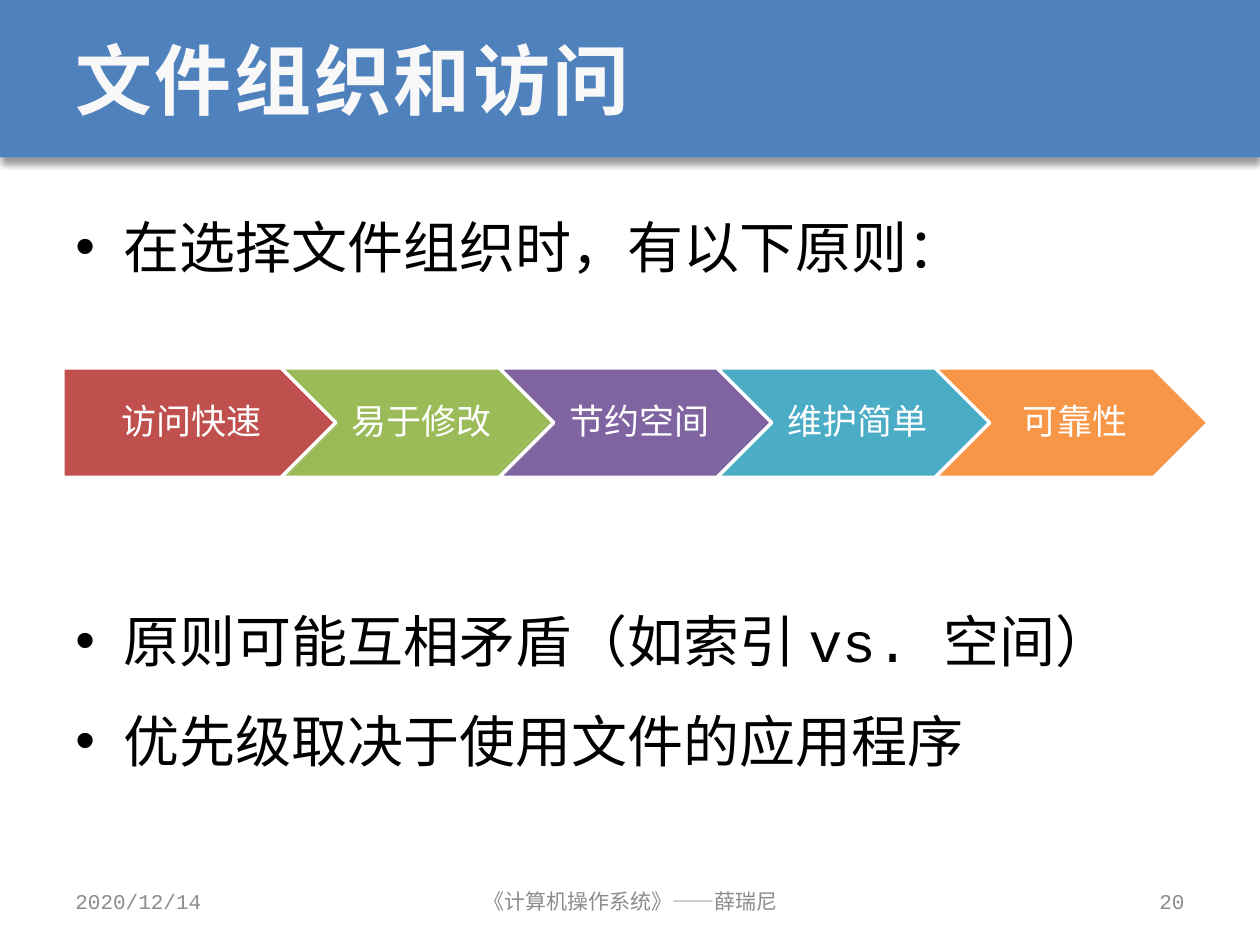
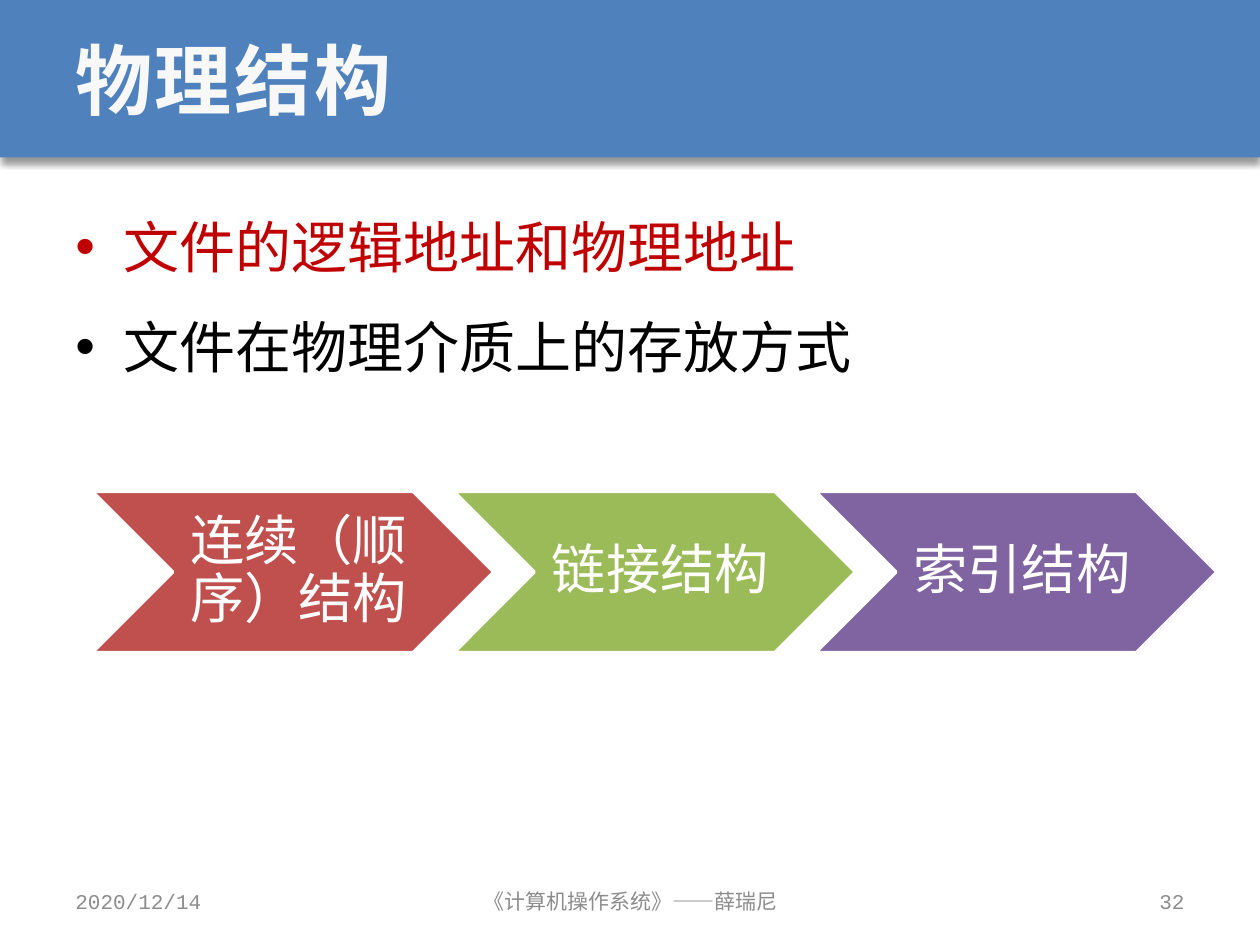
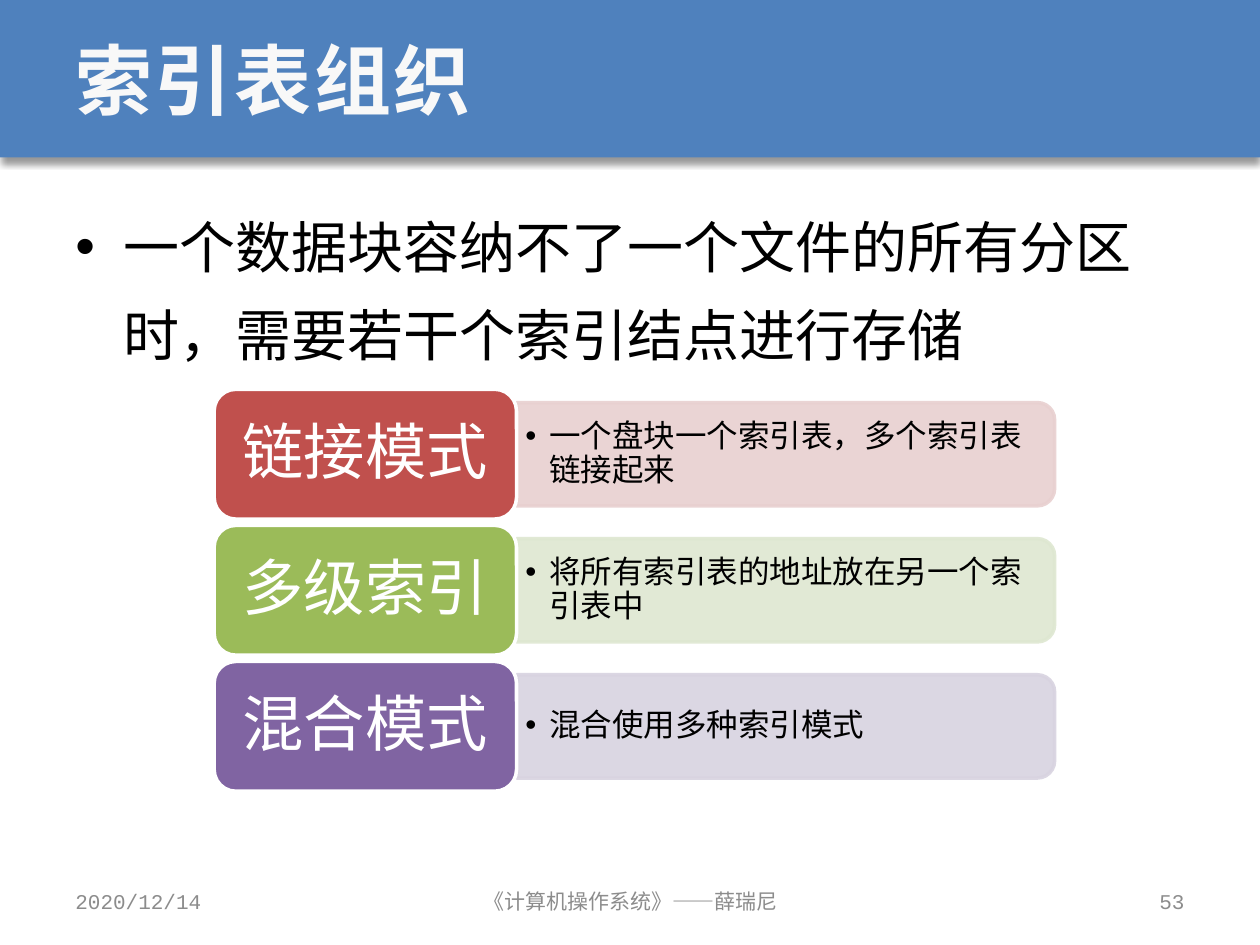
import dataclasses
import typing

import pptx
import pptx.dml.color
import pptx.enum.lang
import pptx.enum.shapes
import pptx.enum.text
import pptx.oxml.ns
import pptx.util
from lxml import etree

Inches = pptx.util.Inches
Pt = pptx.util.Pt
Form = pptx.enum.shapes.MSO_SHAPE
Align = pptx.enum.text.PP_ALIGN
Anchor = pptx.enum.text.MSO_ANCHOR
qn = pptx.oxml.ns.qn

BLUE, RED, GREEN, PURPLE, TEAL, ORANGE = (
    "4F81BD", "C0504D", "9BBB59", "8064A2", "4BACC6", "F79646")
WHITE, BLACK, PALE, GREY, ALERT = "FFFFFF", "000000", "F8F8F8", "8C8C8C", "C00000"
HUES = [RED, GREEN, PURPLE, TEAL, ORANGE]
MONO, SANS = "Courier New", "Arial"


@dataclasses.dataclass
class Box:
    left: float
    top: float
    width: float
    height: float

    def span(self) -> list[int]:
        return [Inches(n) for n in (self.left, self.top, self.width, self.height)]


@dataclasses.dataclass
class Point:
    text: str
    color: str = BLACK
    before: float = 7


@dataclasses.dataclass
class Chain:
    words: list[str]
    first: Box
    step: float
    size: float
    pad: tuple[float, ...]
    flat: bool = False


@dataclasses.dataclass
class Row:
    name: str
    note: str
    hue: str
    tint: str


def paint(target: typing.Any, color: str) -> None:
    target.rgb = pptx.dml.color.RGBColor.from_string(color)


def fade(node: typing.Any, share: int) -> None:
    for hue in node.iter(qn("a:srgbClr")):
        etree.SubElement(hue, qn("a:alpha"), val=str(share * 1000))


def dot(para: typing.Any, indent: float) -> None:
    props = para._p.get_or_add_pPr()
    props.set("marL", str(Inches(indent)))
    props.set("indent", str(-Inches(indent)))
    etree.SubElement(props, qn("a:buFont"), typeface=SANS)
    etree.SubElement(props, qn("a:buChar"), char="•")


def write(slide: typing.Any, box: Box, text: str | list[Point], *, size: float,
          font: str = SANS, color: str = BLACK, bold: bool = False,
          align: Align = Align.LEFT, anchor: Anchor = Anchor.MIDDLE,
          pad: tuple[float, ...] = (0.1, 0.05, 0.1, 0.05),
          line: float = 1.0, indent: float = 0, track: float = 0) -> None:
    frame = slide.shapes.add_textbox(*box.span()).text_frame
    frame.word_wrap = True
    frame.vertical_anchor = anchor
    (frame.margin_left, frame.margin_top,
     frame.margin_right, frame.margin_bottom) = [Inches(n) for n in pad]
    points = [Point(text, color, 0)] if isinstance(text, str) else text
    for place, point in enumerate(points):
        para = frame.add_paragraph() if place else frame.paragraphs[0]
        para.alignment = align
        para.line_spacing = line
        para.space_before = Pt(point.before)
        if indent:
            dot(para, indent)
        run = para.add_run()
        run.text = point.text
        run.font.name, run.font.size, run.font.bold = font, Pt(size), bold
        run.font.language_id = pptx.enum.lang.MSO_LANGUAGE_ID.SIMPLIFIED_CHINESE
        paint(run.font.color, point.color)
        if track:
            run.font._element.set("spc", str(int(track * 100)))


def draw(slide: typing.Any, form: Form, box: Box, fill: str,
         edge: str | None = WHITE) -> typing.Any:
    shape = slide.shapes.add_shape(form, *box.span())
    shape.shadow.inherit = False
    shape.fill.solid()
    paint(shape.fill.fore_color, fill)
    if edge:
        paint(shape.line.color, edge)
        shape.line.width = Pt(2)
    else:
        shape.line.fill.background()
    return shape


def start(deck: typing.Any, title: str, page: int, points: list[Point]) -> typing.Any:
    slide = deck.slides.add_slide(deck.slide_layouts[6])
    band = draw(slide, Form.RECTANGLE, Box(0, 0, 10, 1.25), BLUE, None)
    glow = etree.SubElement(
        band._element.spPr.find(qn("a:effectLst")), qn("a:outerShdw"),
        blurRad=str(Pt(4)), dist=str(Pt(3)), dir="5400000", rotWithShape="0")
    etree.SubElement(glow, qn("a:srgbClr"), val=BLACK)
    fade(glow, 40)
    write(slide, Box(0.5, 0, 9, 1.25), title, size=44, font=MONO, color=PALE,
          bold=True, track=1.5)
    write(slide, Box(0.5, 1.48, 9, 5.33), points, size=32, font=MONO,
          anchor=Anchor.TOP, line=1.3, indent=0.38)
    for left, width, text, align in [
            (0.5, 2.33, "2020/12/14", Align.LEFT),
            (3.42, 3.17, "《计算机操作系统》——薛瑞尼", Align.CENTER),
            (7.17, 2.33, str(page), Align.RIGHT)]:
        write(slide, Box(left, 6.95, width, 0.4), text, size=12, font=MONO,
              color=GREY, align=align)
    return slide


def link(slide: typing.Any, chain: Chain) -> None:
    notch = chain.first.height / 2
    for place, (word, hue) in enumerate(zip(chain.words, HUES)):
        left = chain.first.left + place * chain.step
        box = dataclasses.replace(chain.first, left=left)
        flat = chain.flat and place == 0
        draw(slide, Form.PENTAGON if flat else Form.CHEVRON, box, hue)
        inset = 0 if flat else notch
        width = box.width - (notch / 2 if flat else 2 * notch)
        area = dataclasses.replace(box, left=left + inset, width=width)
        pad = (0.12, *chain.pad[1:]) if flat else chain.pad
        write(slide, area, word, size=chain.size, color=WHITE,
              align=Align.CENTER, pad=pad, line=0.9)


def stack(slide: typing.Any, rows: list[Row]) -> None:
    left, top, step = 1.7, 3.09, 1.08
    wide, high, span, thick = 2.4, 1.03, 4.27, 0.82
    for place, row in enumerate(rows):
        y = top + place * step
        edge, mid = left + wide, y + high / 2
        bar = draw(slide, Form.ROUND_2_SAME_RECTANGLE,
                   Box(edge + (span - thick) / 2, mid - span / 2, thick, span),
                   row.tint, row.tint)
        bar.rotation = 90
        fade(bar._element.spPr, 90)
        write(slide, Box(edge, mid - 0.37, 4.23, 0.74), row.note, size=18,
              pad=(0.07, 0.04, 0.07, 0.04), line=0.9, indent=0.19)
        draw(slide, Form.ROUNDED_RECTANGLE, Box(left, y, wide, high), row.hue)
        write(slide, Box(left + 0.05, y + 0.05, wide - 0.1, high - 0.1), row.name,
              size=35, color=WHITE, align=Align.CENTER,
              pad=(0.15, 0.07, 0.15, 0.07), line=0.9)


def main() -> None:
    deck = pptx.Presentation()
    deck.slide_width, deck.slide_height = Inches(10), Inches(7.5)

    slide = start(deck, "文件组织和访问", 20, [
        Point("在选择文件组织时，有以下原则："),
        Point("原则可能互相矛盾（如索引 vs. 空间）", before=175),
        Point("优先级取决于使用文件的应用程序")])
    link(slide, Chain(["访问快速", "易于修改", "节约空间", "维护简单", "可靠性"],
                      Box(0.5, 2.92, 2.17, 0.87), 1.73, 20,
                      (0.09, 0.06, 0.03, 0.06), flat=True))

    slide = start(deck, "物理结构", 32, [
        Point("文件的逻辑地址和物理地址", ALERT),
        Point("文件在物理介质上的存放方式")])
    link(slide, Chain(["连续（顺序）结构", "链接结构", "索引结构"],
                      Box(0.73, 3.9, 3.19, 1.28), 2.87, 31,
                      (0.14, 0.05, 0.05, 0.05)))

    slide = start(deck, "索引表组织", 53, [
        Point("一个数据块容纳不了一个文件的所有分区时，需要若干个索引结点进行存储")])
    stack(slide, [
        Row("链接模式", "一个盘块一个索引表，多个索引表链接起来", RED, "E8D0D0"),
        Row("多级索引", "将所有索引表的地址放在另一个索引表中", GREEN, "DEE7D1"),
        Row("混合模式", "混合使用多种索引模式", PURPLE, "D8D3E0")])

    deck.save("out.pptx")


if __name__ == "__main__":
    main()
